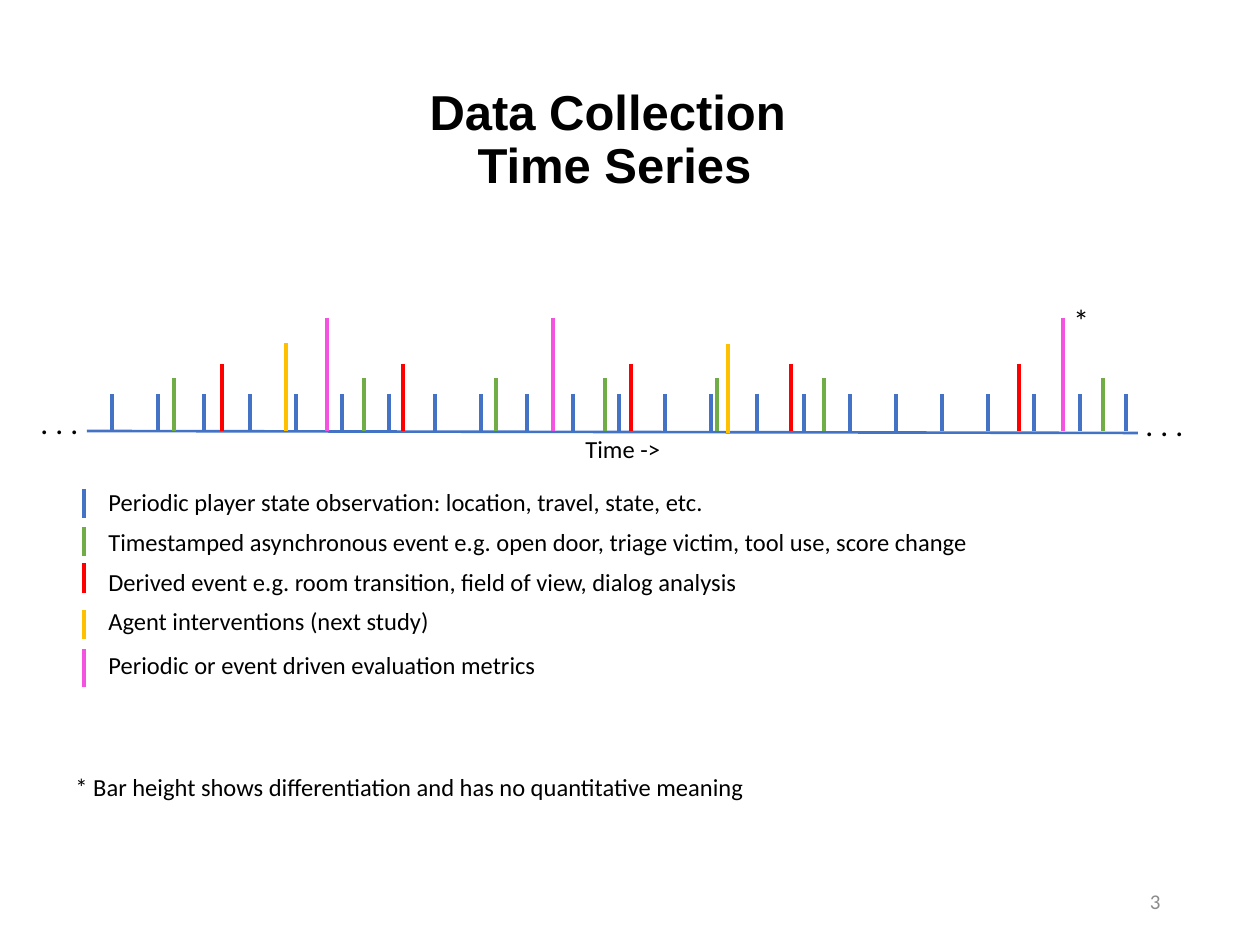
from lxml import etree
from pptx import Presentation
from pptx.dml.color import RGBColor
from pptx.enum.shapes import MSO_CONNECTOR
from pptx.enum.text import MSO_ANCHOR, PP_ALIGN
from pptx.oxml.ns import qn
from pptx.util import Pt

PX = 914400 / 126
LINE = MSO_CONNECTOR.STRAIGHT
LEFT, MID, RIGHT = PP_ALIGN.LEFT, PP_ALIGN.CENTER, PP_ALIGN.RIGHT
CENTER = MSO_ANCHOR.MIDDLE
TOP = MSO_ANCHOR.TOP
HUES = {
    "blue": "4472C4",
    "green": "70AD47",
    "red": "FF0000",
    "gold": "FFC000",
    "pink": "F452E1",
    "black": "000000",
    "gray": "8C8C8C",
}

deck = Presentation()
deck.slide_width, deck.slide_height = round(1260 * PX), round(945 * PX)
slide = deck.slides.add_slide(deck.slide_layouts[5])


def add_line(x1, y1, x2, y2, hue, width=2.25):
    ends = [round(v * PX) for v in (x1, y1, x2, y2)]
    line = slide.shapes.add_connector(LINE, *ends)
    line.line.color.rgb = RGBColor.from_string(HUES[hue])
    line.line.width = Pt(width)
    etree.SubElement(line._element.spPr, qn("a:effectLst"))


def add_text(text, x, y, w, h, size=14, hue="black", align=LEFT, anchor=TOP, wrap=False):
    box = slide.shapes.add_textbox(*[round(v * PX) for v in (x, y, w, h)])
    frame = box.text_frame
    frame.word_wrap = wrap
    frame.vertical_anchor = anchor
    para = frame.paragraphs[0]
    para.text = text
    para.alignment = align
    para.font.name = "Calibri"
    para.font.size = Pt(size)
    para.font.color.rgb = RGBColor.from_string(HUES[hue])


title = slide.shapes.title
title.left, title.top = round(284 * PX), round(50 * PX)
title.width, title.height = round(661 * PX), round(183 * PX)
title.text_frame.vertical_anchor = CENTER
head = title.text_frame.paragraphs[0]
head.text = "Data Collection \vTime Series"
head.alignment = MID
head.line_spacing = 0.9
head.font.name = "Arial"
head.font.size = Pt(28)
head.font.bold = True
head.font.color.rgb = RGBColor.from_string(HUES["black"])

add_line(87, 431, 1138, 433, "blue", 1.5)

ticks = [
    ("blue", 394, 431, [round(112 + 46.1 * i) for i in range(23)]),
    ("green", 378, 431, [174, 364, 496, 605, 717, 824, 1103]),
    ("red", 364, 431, [222, 403, 631, 791, 1019]),
    ("gold", 343, 431, [286]),
    ("gold", 344, 433, [728]),
    ("pink", 318, 431, [327, 553, 1063]),
]
for hue, top, base, spots in ticks:
    for x in spots:
        add_line(x, top, x, base, hue)

legend = [
    ("blue", 489, 518, 481, 626,
     "Periodic player state observation: location, travel, state, etc."),
    ("green", 527, 556, 521, 892,
     "Timestamped asynchronous event e.g. open door, triage victim, tool use, score change"),
    ("red", 563, 593, 561, 684,
     "Derived event e.g. room transition, field of view, dialog analysis"),
    ("gold", 610, 639, 600, 350, "Agent interventions (next study)"),
    ("pink", 649, 687, 644, 457, "Periodic or event driven evaluation metrics"),
]
for hue, top, base, y, w, text in legend:
    add_line(84, top, 84, base, hue)
    add_text(text, 96, y, w, 43)

add_text(". . .", 28, 397, 64, 50, 18)
add_text(". . .", 1133, 399, 64, 50, 18)
add_text("Time ->", 573, 428, 101, 43)
add_text("*", 1061, 295, 42, 50, 18)
add_text("* Bar height shows differentiation and has no quantitative meaning", 63, 766, 702, 43)
add_text("3", 890, 876, 283, 50, 12, "gray", RIGHT, CENTER, True)

deck.save("out.pptx")
